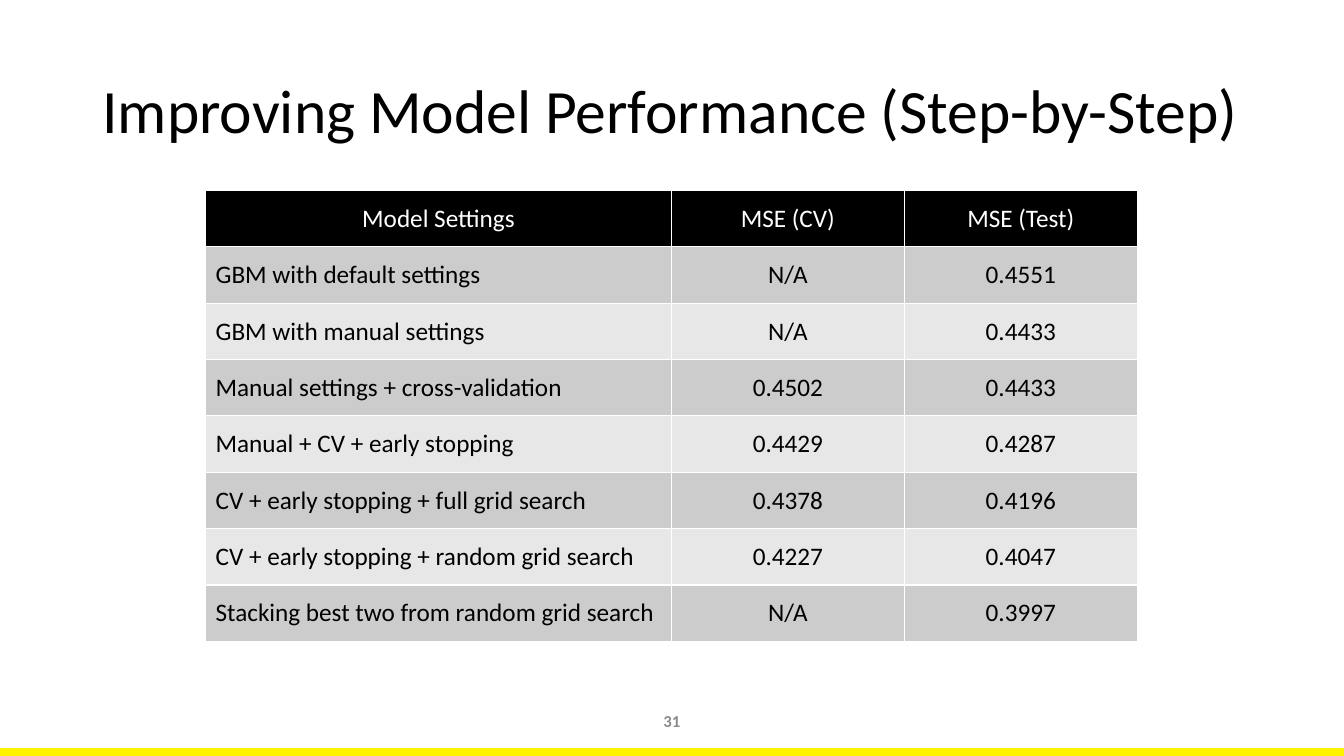
"""Build the slide comparing model settings by their error."""
from lxml import etree
from pptx import Presentation
from pptx.dml.color import RGBColor
from pptx.enum import shapes, text
from pptx.oxml import ns
from pptx.util import Cm, Pt

TITLE = "Improving Model Performance (Step-by-Step)"
PAGE_NUMBER = "31"
RESULTS = [
    ("Model Settings", "MSE (CV)", "MSE (Test)"),
    ("GBM with default settings", "N/A", "0.4551"),
    ("GBM with manual settings", "N/A", "0.4433"),
    ("Manual settings + cross-validation", "0.4502", "0.4433"),
    ("Manual + CV + early stopping", "0.4429", "0.4287"),
    ("CV + early stopping + full grid search", "0.4378", "0.4196"),
    ("CV + early stopping + random grid search", "0.4227", "0.4047"),
    ("Stacking best two from random grid search", "N/A", "0.3997"),
]
COLUMN_WIDTHS = (11.74, 5.87, 5.87)
ROW_HEIGHT = 1.42
SLIDE_WIDTH, SLIDE_HEIGHT = 33.87, 19.05
BAR_HEIGHT = 0.2
FONT = "Calibri"
HEADER_FILL, BAND_FILLS = "000000", ("E7E7E7", "CCCCCC")


def color(hex_string):
    return RGBColor.from_string(hex_string)


def write(frame, words, size=18, ink="000000", bold=False, center=True, spacing=1.0):
    frame.word_wrap = True
    paragraph = frame.paragraphs[0]
    paragraph.text = words
    paragraph.alignment = text.PP_ALIGN.CENTER if center else text.PP_ALIGN.LEFT
    paragraph.line_spacing = spacing
    font = paragraph.runs[0].font
    font.name, font.size, font.bold = FONT, Pt(size), bold
    font.color.rgb = color(ink)


def place(shape, left, top, width, height):
    shape.left, shape.top = Cm(left), Cm(top)
    shape.width, shape.height = Cm(width), Cm(height)


def add_borders(cell, ink="FFFFFF", width=1):
    properties = cell._tc.get_or_add_tcPr()
    for position, side in enumerate(("lnL", "lnR", "lnT", "lnB")):
        line = etree.Element(ns.qn(f"a:{side}"), w=str(Pt(width)))
        fill = etree.SubElement(line, ns.qn("a:solidFill"))
        etree.SubElement(fill, ns.qn("a:srgbClr"), val=ink)
        properties.insert(position, line)


def add_results(slide):
    frame = slide.shapes.add_table(
        len(RESULTS), len(COLUMN_WIDTHS), Cm(5.18), Cm(4.8),
        Cm(sum(COLUMN_WIDTHS)), Cm(ROW_HEIGHT * len(RESULTS)))
    table = frame.table
    for column, width in zip(table.columns, COLUMN_WIDTHS):
        column.width = Cm(width)
    for row_index, values in enumerate(RESULTS):
        table.rows[row_index].height = Cm(ROW_HEIGHT)
        header = row_index == 0
        for column_index, value in enumerate(values):
            cell = table.cell(row_index, column_index)
            cell.vertical_anchor = text.MSO_ANCHOR.MIDDLE
            cell.fill.solid()
            cell.fill.fore_color.rgb = color(HEADER_FILL if header else BAND_FILLS[row_index % 2])
            add_borders(cell)
            write(cell.text_frame, value, ink="FFFFFF" if header else "000000",
                  center=header or column_index > 0)


def main():
    presentation = Presentation()
    presentation.slide_width, presentation.slide_height = Cm(SLIDE_WIDTH), Cm(SLIDE_HEIGHT)
    slide = presentation.slides.add_slide(presentation.slide_layouts[5])

    title = slide.shapes.title
    place(title, 2.33, 1.01, 29.21, 3.68)
    title.text_frame.auto_size = text.MSO_AUTO_SIZE.NONE
    title.text_frame.vertical_anchor = text.MSO_ANCHOR.MIDDLE
    write(title.text_frame, TITLE, size=44, center=False, spacing=0.9)

    number = slide.shapes.add_textbox(Cm(13.12), Cm(17.66), Cm(7.62), Cm(1.01))
    number.text_frame.vertical_anchor = text.MSO_ANCHOR.MIDDLE
    write(number.text_frame, PAGE_NUMBER, size=12, ink="8C8C8C", bold=True)

    bar = slide.shapes.add_shape(
        shapes.MSO_SHAPE.RECTANGLE, Cm(0), Cm(SLIDE_HEIGHT - BAR_HEIGHT),
        Cm(SLIDE_WIDTH), Cm(BAR_HEIGHT))
    bar.shadow.inherit = False
    bar.fill.solid()
    bar.fill.fore_color.rgb = color("FFF200")
    bar.line.fill.background()

    add_results(slide)
    presentation.save("out.pptx")


if __name__ == "__main__":
    main()
